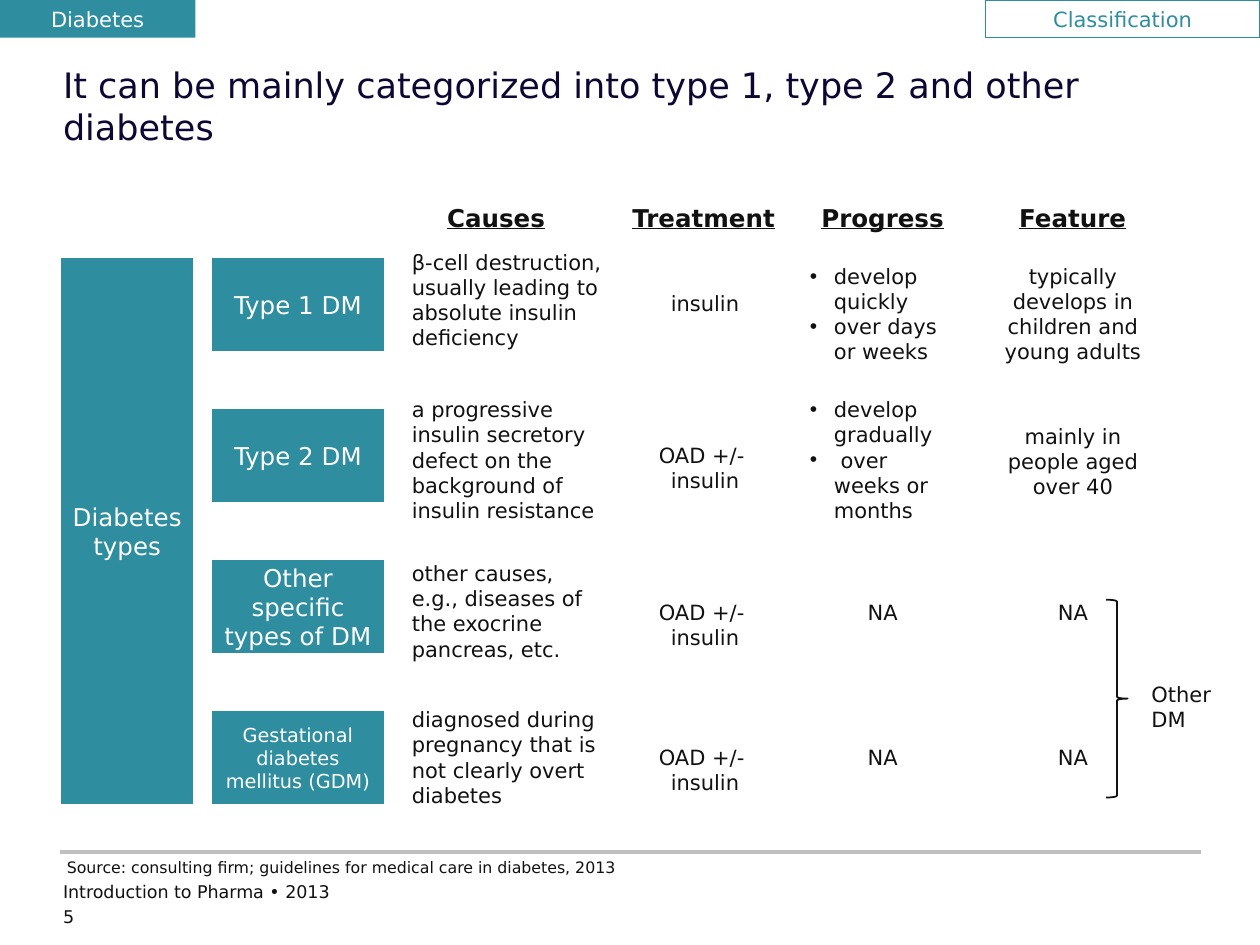
from dataclasses import dataclass

from lxml.etree import SubElement
from pptx import Presentation
from pptx.dml.color import RGBColor
from pptx.enum.shapes import MSO_CONNECTOR, MSO_SHAPE
from pptx.enum.text import MSO_ANCHOR as Anchor, MSO_AUTO_SIZE, PP_ALIGN as Align
from pptx.oxml.ns import qn
from pptx.shapes.autoshape import Shape
from pptx.slide import Slide
from pptx.util import Inches, Pt

FONT = "DejaVu Sans"
COLORS = {
    "teal": "2E8D9E",
    "white": "FFFFFF",
    "text": "111111",
    "title": "0E0733",
    "rule": "C0C0C0",
}
FIRST_ROW_TOP, ROW_PITCH, ROW_HEIGHT = 2.04, 1.2, 0.75
LINE_HEIGHT, TEXT_INSET = 0.2, 0.05
BULLET_INDENT = 0.19


@dataclass(frozen=True)
class Box:
    left: float
    top: float
    width: float
    height: float

    def lengths(self) -> list[Inches]:
        return [Inches(v) for v in (self.left, self.top, self.width, self.height)]


@dataclass(frozen=True)
class Style:
    size: float = 12
    color: str = "text"
    align: Align = Align.LEFT
    anchor: Anchor = Anchor.TOP
    inset: float | None = None
    heading: bool = False
    bulleted: bool = False
    wrap: bool = True


@dataclass(frozen=True)
class Column:
    heading: str
    heading_left: float
    heading_width: float
    left: float
    width: float
    align: Align = Align.CENTER


@dataclass(frozen=True)
class Cell:
    top: float
    lines: int
    paragraphs: tuple[str, ...]
    bulleted: bool = False


@dataclass(frozen=True)
class DiabetesType:
    name: str
    cells: tuple[Cell, ...]
    size: float = 14


COLUMNS = (
    Column("Causes", 3.45, 0.98, 3.17, 1.72, Align.LEFT),
    Column("Treatment", 4.92, 1.35, 4.92, 1.35),
    Column("Progress", 6.42, 1.17, 6.33, 1.35),
    Column("Feature", 7.99, 1.05, 7.84, 1.35),
)
COMBINATION = ("OAD +/- ", "insulin")
NOT_AVAILABLE = ("NA",)
TYPES = (
    DiabetesType("Type 1 DM", (
        Cell(1.93, 4, ("β-cell destruction, usually leading to absolute insulin deficiency",)),
        Cell(2.26, 1, ("insulin",)),
        Cell(2.04, 4, ("develop quickly", "over days or weeks"), bulleted=True),
        Cell(2.04, 4, ("typically develops in children and young adults",)),
    )),
    DiabetesType("Type 2 DM", (
        Cell(3.1, 5, ("a progressive insulin secretory defect on the background of insulin resistance",)),
        Cell(3.46, 1, COMBINATION),
        Cell(3.1, 5, ("develop gradually", " over weeks or months"), bulleted=True),
        Cell(3.31, 3, ("mainly in people aged over 40",)),
    )),
    DiabetesType("Other specific types of DM", (
        Cell(4.4, 4, ("other causes, e.g., diseases of the exocrine pancreas, etc.",)),
        Cell(4.71, 1, COMBINATION),
        Cell(4.71, 1, NOT_AVAILABLE),
        Cell(4.71, 1, NOT_AVAILABLE),
    )),
    DiabetesType("Gestational diabetes mellitus (GDM)", (
        Cell(5.56, 4, ("diagnosed during pregnancy that is not clearly overt diabetes",)),
        Cell(5.86, 1, COMBINATION),
        Cell(5.86, 1, NOT_AVAILABLE),
        Cell(5.86, 1, NOT_AVAILABLE),
    ), size=11),
)


def rgb(name: str) -> RGBColor:
    return RGBColor.from_string(COLORS[name])


def write(shape: Shape, paragraphs: tuple[str, ...], style: Style) -> None:
    frame = shape.text_frame
    frame.auto_size = MSO_AUTO_SIZE.NONE
    frame.word_wrap = style.wrap
    frame.vertical_anchor = style.anchor
    if style.inset is not None:
        frame.margin_left = frame.margin_right = Inches(style.inset)
        frame.margin_top = frame.margin_bottom = Inches(style.inset)
    for index, text in enumerate(paragraphs):
        paragraph = frame.add_paragraph() if index else frame.paragraphs[0]
        paragraph.alignment = style.align
        if style.bulleted:
            properties = paragraph._p.get_or_add_pPr()
            properties.set("marL", str(Inches(BULLET_INDENT)))
            properties.set("indent", str(-Inches(BULLET_INDENT)))
            SubElement(properties, qn("a:buFont"), typeface="Arial")
            SubElement(properties, qn("a:buChar"), char="•")
        run = paragraph.add_run()
        run.text = text
        run.font.name = FONT
        run.font.size = Pt(style.size)
        run.font.color.rgb = rgb(style.color)
        if style.heading:
            run.font.bold = run.font.underline = True


def add_text(slide: Slide, box: Box, paragraphs: tuple[str, ...], style: Style) -> None:
    write(slide.shapes.add_textbox(*box.lengths()), paragraphs, style)


def add_block(slide: Slide, box: Box, text: str, style: Style,
              fill: str | None = "teal", line: str | None = "white") -> None:
    shape = slide.shapes.add_shape(MSO_SHAPE.RECTANGLE, *box.lengths())
    shape.shadow.inherit = False
    if fill:
        shape.fill.solid()
        shape.fill.fore_color.rgb = rgb(fill)
    else:
        shape.fill.background()
    if line:
        shape.line.color.rgb = rgb(line)
        shape.line.width = Pt(0.75)
    else:
        shape.line.fill.background()
    write(shape, (text,), style)


def add_footer(slide: Slide) -> None:
    rule = slide.shapes.add_connector(
        MSO_CONNECTOR.STRAIGHT, Inches(0.48), Inches(6.76), Inches(9.53), Inches(6.76))
    rule.line.color.rgb = rgb("rule")
    rule.line.width = Pt(2)
    SubElement(rule._element.spPr, qn("a:effectLst"))
    add_text(slide, Box(0.53, 6.81, 5.05, 0.15),
             ("Source: consulting firm; guidelines for medical care in diabetes, 2013",),
             Style(size=9, inset=0, wrap=False))
    small = Style(size=10, inset=0)
    add_text(slide, Box(0.5, 6.99, 6.68, 0.23), ("Introduction to Pharma • 2013",), small)
    add_text(slide, Box(0.5, 7.19, 0.48, 0.2), ("5",), small)


def add_header(slide: Slide) -> None:
    title = slide.shapes.title
    title.left, title.top, title.width, title.height = Box(0.5, 0.5, 9, 1).lengths()
    write(title, ("It can be mainly categorized into type 1, type 2 and other diabetes",),
          Style(size=20, color="title", inset=0))
    add_block(slide, Box(0, 0, 1.55, 0.3), "Diabetes",
              Style(color="white", align=Align.CENTER), line=None)
    add_block(slide, Box(7.82, 0, 2.18, 0.3), "Classification",
              Style(color="teal", align=Align.CENTER, anchor=Anchor.MIDDLE, wrap=False),
              fill=None, line="teal")


def block_style(size: float) -> Style:
    return Style(size, "white", Align.CENTER, Anchor.MIDDLE, inset=0.08)


def add_type_grid(slide: Slide) -> None:
    total_height = ROW_PITCH * (len(TYPES) - 1) + ROW_HEIGHT
    add_block(slide, Box(0.48, FIRST_ROW_TOP, 1.06, total_height),
              "Diabetes types", block_style(14))
    for column in COLUMNS:
        add_text(slide, Box(column.heading_left, 1.56, column.heading_width, 0.34),
                 (column.heading,), Style(size=14, heading=True, wrap=False))
    for row, kind in enumerate(TYPES):
        add_block(slide, Box(1.68, FIRST_ROW_TOP + row * ROW_PITCH, 1.37, ROW_HEIGHT),
                  kind.name, block_style(kind.size))
        for column, cell in zip(COLUMNS, kind.cells):
            height = cell.lines * LINE_HEIGHT + 2 * TEXT_INSET
            align = Align.LEFT if cell.bulleted else column.align
            add_text(slide, Box(column.left, cell.top, column.width, height),
                     cell.paragraphs, Style(align=align, bulleted=cell.bulleted))


def add_other_group(slide: Slide) -> None:
    brace = slide.shapes.add_shape(MSO_SHAPE.RIGHT_BRACE, *Box(8.78, 4.76, 0.17, 1.57).lengths())
    brace.shadow.inherit = False
    brace.fill.background()
    brace.line.color.rgb = rgb("text")
    brace.line.width = Pt(1)
    add_text(slide, Box(9.04, 5.36, 0.74, 0.5), ("Other DM",), Style())


def main() -> None:
    presentation = Presentation()
    presentation.slide_width, presentation.slide_height = Inches(10), Inches(7.5)
    slide = presentation.slides.add_slide(presentation.slide_layouts.get_by_name("Title Only"))
    add_footer(slide)
    add_header(slide)
    add_type_grid(slide)
    add_other_group(slide)
    presentation.save("out.pptx")


if __name__ == "__main__":
    main()
